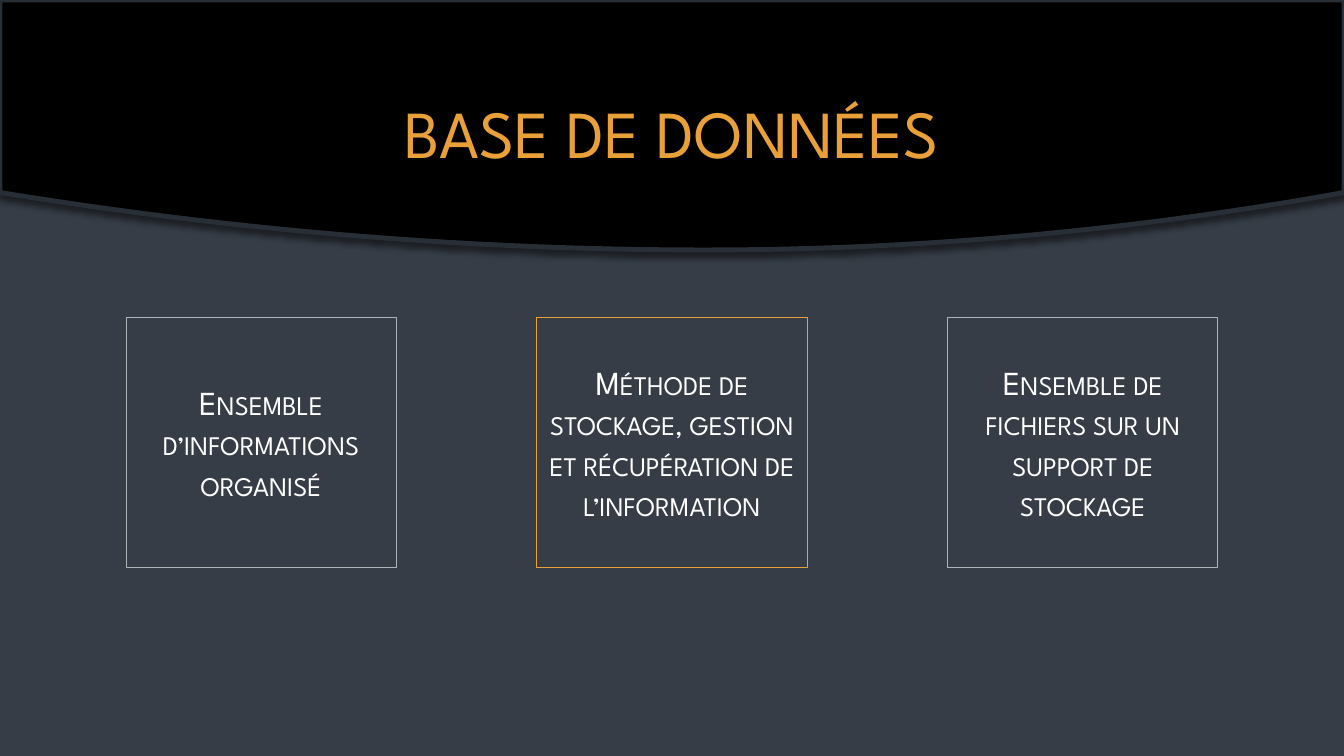
from lxml import etree
from pptx import Presentation
from pptx.dml.color import RGBColor
from pptx.enum.shapes import MSO_SHAPE as Preset
from pptx.enum.text import MSO_ANCHOR as Anchor, PP_ALIGN as Align
from pptx.oxml.ns import qn
from pptx.util import Inches, Pt

SLIDE_W, SLIDE_H = 13.33, 7.5
FONT = "League Spartan"
BLACK, SLATE, EDGE = "000000", "363D46", "282E35"
ORANGE, GREY, WHITE = "E9A039", "B0B3B7", "FFFFFF"

# Left to right: text and border colour
DEFINITIONS = [
    ("Ensemble d’informations organisé", GREY),
    ("Méthode de stockage, gestion et récupération de l’information", ORANGE),
    ("Ensemble de fichiers sur un support de stockage", GREY),
]


def rgb(value):
    return RGBColor.from_string(value)


def style(shape, fill=None, line=None, width=0.75):
    shape.shadow.inherit = False
    if fill:
        shape.fill.solid()
        shape.fill.fore_color.rgb = rgb(fill)
    else:
        shape.fill.background()
    if line:
        shape.line.color.rgb = rgb(line)
        shape.line.width = Pt(width)
    else:
        shape.line.fill.background()


def write(shape, text, size, color, spacing):
    frame = shape.text_frame
    frame.word_wrap = True
    frame.vertical_anchor = Anchor.MIDDLE
    paragraph = frame.paragraphs[0]
    for name, value in {"alignment": Align.CENTER, **spacing}.items():
        setattr(paragraph, name, value)
    run = paragraph.add_run()
    run.text = text
    for name, value in {"name": FONT, "size": Pt(size), "bold": False}.items():
        setattr(run.font, name, value)
    run.font.color.rgb = rgb(color)
    return run


def add_rectangle(slide, left, top, width, height, **look):
    box = slide.shapes.add_shape(
        Preset.RECTANGLE, Inches(left), Inches(top), Inches(width), Inches(height))
    style(box, **look)
    return box


def add_soft_shadow(shape):
    effects = shape._element.spPr.find(qn("a:effectLst"))
    shadow = etree.SubElement(
        effects, qn("a:outerShdw"), blurRad=str(Pt(4)), dist=str(Pt(3)),
        dir="5400000", algn="t", rotWithShape="0")
    color = etree.SubElement(shadow, qn("a:srgbClr"), val=BLACK)
    etree.SubElement(color, qn("a:alpha"), val="50000")


def add_header_band(slide):
    # The lower edge is a parabola, lowest a little right of the middle
    lowest_x, lowest_y, rise, steps = 7.0, 2.48, 0.57, 48
    curve = []
    for step in range(steps + 1):
        x = SLIDE_W * (1 - step / steps)
        reach = lowest_x if x < lowest_x else SLIDE_W - lowest_x
        y = lowest_y - rise * ((x - lowest_x) / reach) ** 2
        curve.append((Inches(x), Inches(y)))
    outline = slide.shapes.build_freeform(0, 0)
    outline.add_line_segments([(Inches(SLIDE_W), 0), *curve], close=True)
    band = outline.convert_to_shape()
    style(band, fill=BLACK, line=EDGE, width=3.5)
    add_soft_shadow(band)


def place_title(slide, text):
    title = slide.shapes.title
    slide.shapes._spTree.append(title._element)  # in front of the band
    frame = {"left": 1.25, "top": 0.67, "width": 10.83, "height": 1.28}
    for name, value in frame.items():
        setattr(title, name, Inches(value))
    write(title, text, 48, ORANGE, {})


def add_definitions(slide):
    first_left, top, width, height, pitch = 1.25, 3.15, 2.68, 2.48, 4.075
    spacing = {"space_before": Pt(4.8), "space_after": Pt(6)}
    for index, (text, border) in enumerate(DEFINITIONS):
        card = add_rectangle(
            slide, first_left + index * pitch, top, width, height, line=border)
        run = write(card, text, 24, WHITE, spacing)
        run.font._element.set("cap", "small")


def main():
    deck = Presentation()
    deck.slide_width, deck.slide_height = Inches(SLIDE_W), Inches(SLIDE_H)
    slide = deck.slides.add_slide(deck.slide_layouts[5])

    # Backdrop
    slide.background.fill.solid()
    slide.background.fill.fore_color.rgb = rgb(BLACK)
    add_rectangle(slide, 0, 0, SLIDE_W, SLIDE_H, fill=SLATE)

    # Header
    add_header_band(slide)
    place_title(slide, "BASE DE DONNÉES")

    # Body
    add_definitions(slide)
    deck.save("out.pptx")


if __name__ == "__main__":
    main()
